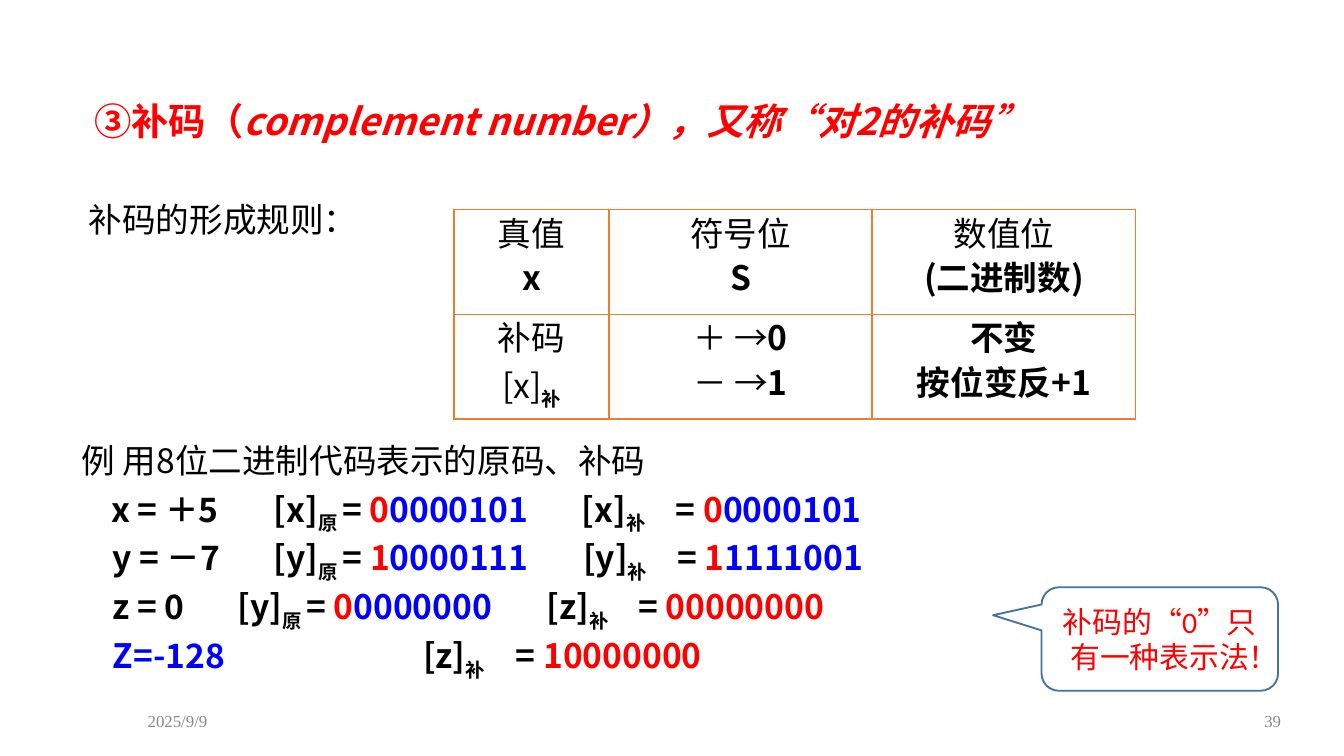
from lxml.etree import SubElement
from pptx import Presentation
from pptx.dml.color import RGBColor
from pptx.enum.shapes import MSO_SHAPE as Shape
from pptx.enum.text import MSO_ANCHOR as Anchor, MSO_AUTO_SIZE as AutoSize, PP_ALIGN as Align
from pptx.oxml.ns import qn
from pptx.util import Inches, Pt

RED = RGBColor(0xFF, 0, 0)
BLUE = RGBColor(0, 0, 0xFF)
BLACK = RGBColor(0, 0, 0)
WHITE = RGBColor(0xFF, 0xFF, 0xFF)
GRAY = RGBColor(0x89, 0x89, 0x89)
ORANGE = RGBColor(0xED, 0x7D, 0x31)
STEEL = RGBColor(0x43, 0x73, 0x9E)
SANS = "Noto Sans CJK SC"


def style(para, size, color, name=SANS, align=Align.LEFT, line=None, before=0):
    para.alignment = align
    para.line_spacing = line
    para.space_before = Pt(before)
    para.font.size = Pt(size)
    para.font.name = name
    para.font.color.rgb = color


def add_span(para, text, bold=None, color=None, lowered=False):
    span = para.add_run()
    span.text = text
    span.font.bold = bold
    if color is not None:
        span.font.color.rgb = color
    properties = span._r.get_or_add_rPr()
    if lowered:
        properties.set("baseline", "-25000")
    SubElement(properties, qn("a:ea"), typeface=SANS)
    return span


deck = Presentation()
deck.slide_width = Inches(10)
deck.slide_height = Inches(10 * 9 / 16)
page = deck.slides.add_slide(deck.slide_layouts[1])

title = page.shapes.title
body = page.placeholders[1]
for holder, left, top, width, height in [
    (title, 0.6, 0.72, 9.33, 0.69),
    (body, 0.56, 1.34, 3.13, 0.5),
]:
    holder.left, holder.top = Inches(left), Inches(top)
    holder.width, holder.height = Inches(width), Inches(height)
    holder.text_frame.auto_size = AutoSize.NONE
    holder.text_frame.vertical_anchor = Anchor.TOP

para = title.text_frame.paragraphs[0]
style(para, 20, RED, line=0.9)
add_span(para, "③补码（", True)
add_span(para, "complement number），又称“对2的补码”", True).font.italic = True

para = body.text_frame.paragraphs[0]
indent = para._p.get_or_add_pPr()
indent.set("marL", str(Inches(0.19)))
indent.set("indent", str(-Inches(0.19)))
SubElement(indent, qn("a:buNone"))
style(para, 18, BLACK, line=1.3)
add_span(para, "补码的形成规则：")

for text, left, align in [("2025/9/9", 1, Align.LEFT), ("39", 7.38, Align.RIGHT)]:
    footer = page.shapes.add_textbox(Inches(left), Inches(5.21), Inches(2.25), Inches(0.3))
    footer.text_frame.word_wrap = True
    footer.text_frame.vertical_anchor = Anchor.MIDDLE
    para = footer.text_frame.paragraphs[0]
    style(para, 9, GRAY, "Times New Roman", align)
    para.add_run().text = text

equations = [
    ("x = ＋5", BLACK, [0.22, 1.43, 3.72, 4.42],
     [("[x]", "原", "0", "0000101"), ("[x]", "补", "0", "0000101")]),
    ("y = －7", BLACK, [0.23, 1.43, 3.73, 4.43],
     [("[y]", "原", "1", "0000111"), ("[y]", "补", "1", "1111001")]),
    ("z = 0", BLACK, [0.23, 1.16, 3.46, 4.14],
     [("[y]", "原", "0", "0000000"), ("[z]", "补", "00000000", "")]),
    ("Z=-128", BLUE, [0.23, 2.54, 3.23], [("[z]", "补", "10000000", "")]),
]
example = page.shapes.add_textbox(Inches(0.51), Inches(3.31), Inches(8.42), Inches(1.76))
example.text_frame.word_wrap = True
para = example.text_frame.paragraphs[0]
style(para, 18, BLACK, line=0.7)
add_span(para, "例 用8位二进制代码表示的原码、补码")
for value, color, stops, terms in equations:
    para = example.text_frame.add_paragraph()
    tabs = SubElement(para._p.get_or_add_pPr(), qn("a:tabLst"))
    for stop in stops:
        SubElement(tabs, qn("a:tab"), pos=str(Inches(stop)), algn="l")
    style(para, 18, BLACK, line=0.7, before=9)
    add_span(para, "\t" + value, True, color)
    for symbol, code, sign, digits in terms:
        add_span(para, "\t" + symbol, True)
        add_span(para, code + (" " if code == "原" else ""), True, lowered=True)
        add_span(para, "= " if code == "原" else "\t= ", True)
        add_span(para, sign, True, RED)
        if digits:
            add_span(para, digits, True, BLUE)

rules = [
    [[[("真值", False)], [("x", True)]],
     [[("符号位", False)], [("S", True)]],
     [[("数值位", False)], [("(二进制数)", True)]]],
    [[[("补码", False)], [("[x]", False), ("补", True)]],
     [[("＋ →", False), ("0", True)], [("－ →", False), ("1", True)]],
     [[("不变", True)], [("按位变反+1", True)]]],
]
table = page.shapes.add_table(2, 3, Inches(3.38), Inches(1.56), Inches(5.07), Inches(1.56)).table
table.first_row = table.horz_banding = False
for column, width in zip(table.columns, [1.15, 1.96, 1.96]):
    column.width = Inches(width)
for row, row_rules in zip(table.rows, rules):
    row.height = Inches(0.78)
    for cell, lines in zip(row.cells, row_rules):
        cell.margin_top = cell.margin_bottom = Inches(0.04)
        for side in ["a:lnL", "a:lnR", "a:lnT", "a:lnB"]:
            border = SubElement(cell._tc.get_or_add_tcPr(), qn(side), w=str(Pt(1)))
            SubElement(SubElement(border, qn("a:solidFill")), qn("a:srgbClr"), val=str(ORANGE))
        cell.fill.solid()
        cell.fill.fore_color.rgb = WHITE
        frame = cell.text_frame
        frame.add_paragraph()
        for para, spans, before in zip(frame.paragraphs, lines, [0, 3.2]):
            style(para, 18, BLACK, align=Align.CENTER, line=0.8, before=before)
            for text, bold in spans:
                add_span(para, text, bold, lowered=text == "补")

callout = page.shapes.add_shape(
    Shape.ROUNDED_RECTANGULAR_CALLOUT, Inches(7.75), Inches(4.37), Inches(1.76), Inches(0.77))
callout.adjustments[0] = -0.705
callout.adjustments[1] = -0.23
callout.shadow.inherit = False
callout.fill.background()
callout.line.color.rgb = STEEL
callout.line.width = Pt(1)
callout.text_frame.word_wrap = True
callout.text_frame.vertical_anchor = Anchor.MIDDLE
para = callout.text_frame.paragraphs[0]
style(para, 16, RED, "Calibri", Align.CENTER)
add_span(para, "补码的“0”只有一种表示法！")

deck.save("out.pptx")
